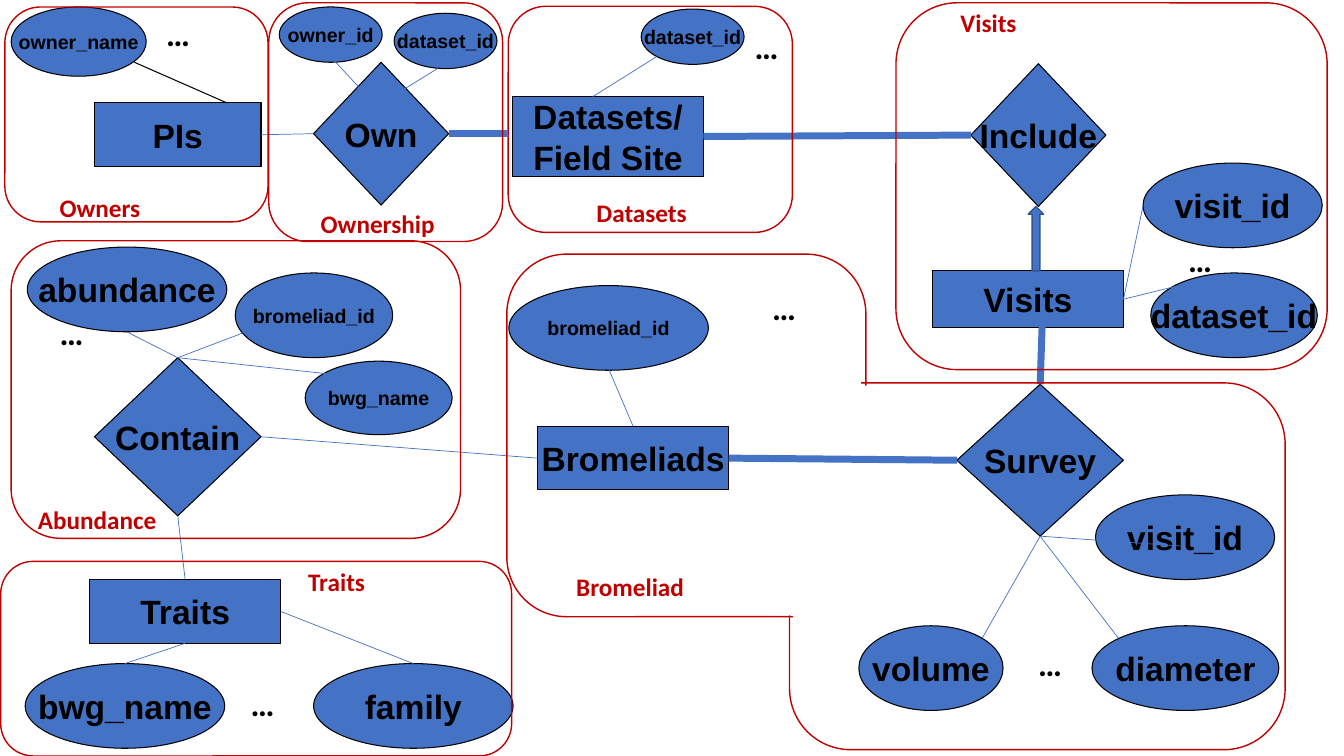
from dataclasses import dataclass
from typing import NamedTuple, Optional, Union

import lxml.etree
import pptx
import pptx.dml.color
import pptx.enum.shapes
import pptx.enum.text
import pptx.oxml.ns
import pptx.util

Pt = pptx.util.Pt
Shapes = pptx.enum.shapes.MSO_SHAPE
Align = pptx.enum.text.PP_ALIGN
TOP, LEFT, BOTTOM, RIGHT = range(4)


@dataclass(frozen=True)
class Theme:
    blue: str = "4472C4"
    arrow_edge: str = "325491"
    black: str = "000000"
    red: str = "C00000"
    white: str = "FFFFFF"
    node_font: str = "Arial"
    label_font: str = "Calibri"
    large: float = 24
    label: float = 18
    small: float = 14
    outline: float = 0.75
    frame: float = 1
    thin: float = 0.5
    thick: float = 5


THEME = Theme()


class Box(NamedTuple):
    left: float
    top: float
    width: float
    height: float


class Node(NamedTuple):
    key: str
    kind: Shapes
    text: str
    box: Box
    size: float = THEME.large


class Side(NamedTuple):
    key: str
    site: int


class Point(NamedTuple):
    x: float
    y: float


class Link(NamedTuple):
    start: Union[Side, Point]
    end: Union[Side, Point]
    width: float = THEME.thin
    color: str = THEME.blue


class Frame(NamedTuple):
    title: str
    box: Box
    title_at: Optional[Point]


RECT, DIAMOND, OVAL = Shapes.RECTANGLE, Shapes.DIAMOND, Shapes.OVAL
NODES = [
    Node("datasets", RECT, "Datasets/\nField Site", Box(366, 69, 136.5, 57)),
    Node("owners", RECT, "PIs", Box(67.5, 73.5, 119, 45.5)),
    Node("visits", RECT, "Visits", Box(666, 193.5, 136.5, 40.5)),
    Node("bromeliads", RECT, "Bromeliads", Box(384, 304.5, 136.5, 45.5)),
    Node("traits", RECT, "Traits", Box(64, 414, 136.5, 45.5)),
    Node("own", DIAMOND, "Own", Box(224, 44.5, 96.5, 102)),
    Node("include", DIAMOND, "Include", Box(693.5, 45.5, 96.5, 102)),
    Node("survey", DIAMOND, "Survey", Box(683.5, 274.5, 119, 108.5)),
    Node("contain", DIAMOND, "Contain", Box(67.5, 255.5, 119, 113)),
    Node("owner name", OVAL, "owner_name", Box(8, 5, 96.5, 49.5), THEME.small),
    Node("owner id", OVAL, "owner_id", Box(199.5, 5, 73.5, 39.5), THEME.small),
    Node("owned dataset", OVAL, "dataset_id", Box(281.5, 9.5, 73.5, 39.5), THEME.small),
    Node("dataset id", OVAL, "dataset_id", Box(458, 6.5, 73.5, 39.5), THEME.small),
    Node("visit id", OVAL, "visit_id", Box(816.5, 116.5, 128, 60.5)),
    Node("visited dataset", OVAL, "dataset_id", Box(822, 195, 119, 60.5)),
    Node("abundance", OVAL, "abundance", Box(19.5, 176.5, 142.5, 60.5)),
    Node("contained bromeliad", OVAL, "bromeliad_id", Box(168, 195, 112.5, 60.5), THEME.small),
    Node("contained name", OVAL, "bwg_name", Box(218, 258, 105, 52.5), THEME.small),
    Node("bromeliad id", OVAL, "bromeliad_id", Box(363.5, 204, 142.5, 60.5), THEME.small),
    Node("surveyed visit", OVAL, "visit_id", Box(782.5, 353.5, 128, 60.5)),
    Node("volume", OVAL, "volume", Box(613.5, 447, 103, 60.5)),
    Node("diameter", OVAL, "diameter", Box(780, 447, 133.5, 60.5)),
    Node("trait name", OVAL, "bwg_name", Box(18, 474, 142.5, 60.5)),
    Node("family", OVAL, "family", Box(224, 474, 142.5, 60.5)),
]
LINKS = [
    Link(Point(96, 44.5), Point(162, 73.5), THEME.outline, THEME.black),
    Link(Side("owners", RIGHT), Side("own", LEFT)),
    Link(Point(264, 70.5), Point(232, 36)),
    Link(Point(267, 77), Point(312.5, 49)),
    Link(Side("own", RIGHT), Point(362, 95.5), 5.25),
    Link(Point(423.5, 69), Point(469, 40.5)),
    Link(Side("datasets", RIGHT), Side("include", LEFT), THEME.thick),
    Link(Side("visits", RIGHT), Point(816.5, 147)),
    Link(Side("visits", RIGHT), Point(840, 204.5)),
    Link(Side("survey", TOP), Point(744.5, 229.5), THEME.thick),
    Link(Side("survey", BOTTOM), Point(799, 456)),
    Link(Side("survey", BOTTOM), Point(701.5, 456)),
    Link(Side("survey", BOTTOM), Point(843, 390)),
    Link(Side("bromeliads", TOP), Point(435, 264)),
    Link(Side("contain", TOP), Point(90.5, 237)),
    Link(Side("contain", TOP), Point(191.5, 231)),
    Link(Side("contain", TOP), Point(262, 270)),
    Link(Side("contain", RIGHT), Side("bromeliads", LEFT)),
    Link(Side("contain", BOTTOM), Side("traits", TOP)),
    Link(Side("traits", RIGHT), Side("family", TOP)),
    Link(Side("traits", BOTTOM), Side("trait name", TOP)),
]
SURVEY_LINK = Link(Side("survey", LEFT), Side("bromeliads", RIGHT), THEME.thick)
FRAMES = [
    Frame("Owners", Box(3.5, 5, 188, 153.5), Point(35.5, 133.5)),
    Frame("Ownership", Box(192, 2, 167, 170.5), Point(222, 145)),
    Frame("Datasets", Box(363, 4.5, 203, 161.5), Point(419, 137.5)),
    Frame("Visits", Box(640, 2, 308, 262), Point(679, 2)),
    Frame("", Box(564, 273.5, 354, 262), None),
    Frame("Bromeliad", Box(362, 181.5, 256.5, 259), Point(404.5, 404.5)),
    Frame("Abundance", Box(8, 172, 321, 212.5), Point(20, 357)),
    Frame("Traits", Box(0.5, 401, 365, 139), Point(213, 401)),
]
# White patches join the two bromeliad frames into one outline.
PATCHES = [Box(566.5, 275.5, 65.5, 171), Box(549.5, 268.5, 65.5, 171)]
ELLIPSES = [Point(111.5, 6), Point(532, 15), Point(841.5, 167), Point(544.5, 201.5),
            Point(35.5, 219.5), Point(172, 484), Point(734.5, 456)]
VISIT_ARROW = Box(734.5, 147.5, 11, 46)


def rgb(color: str) -> pptx.dml.color.RGBColor:
    return pptx.dml.color.RGBColor.from_string(color)


def write(shape, text: str, *, font: str, size: float, color: str,
          align: Align = Align.LEFT, wrap: bool = False) -> None:
    frame = shape.text_frame
    frame.word_wrap = wrap
    for index, line in enumerate(text.split("\n")):
        para = frame.add_paragraph() if index else frame.paragraphs[0]
        para.alignment = align
        span = para.add_run()
        span.text = line
        span.font.name, span.font.size, span.font.bold = font, Pt(size), True
        span.font.color.rgb = rgb(color)


def draw_shape(page, kind: Shapes, box: Box, *, fill: Optional[str] = None,
               line: Optional[str] = None, width: float = THEME.outline):
    shape = page.shapes.add_shape(kind, *map(Pt, box))
    shape.shadow.inherit = False
    if fill:
        shape.fill.solid()
        shape.fill.fore_color.rgb = rgb(fill)
    else:
        shape.fill.background()
    if line:
        shape.line.color.rgb = rgb(line)
        shape.line.width = Pt(width)
    else:
        shape.line.fill.background()
    return shape


def draw_node(page, node: Node):
    shape = draw_shape(page, node.kind, node.box, fill=THEME.blue, line=THEME.black)
    shape.text_frame.vertical_anchor = pptx.enum.text.MSO_ANCHOR.MIDDLE
    write(shape, node.text, font=THEME.node_font, size=node.size,
          color=THEME.black, align=Align.CENTER)
    return shape


def draw_link(page, link: Link, shapes: dict) -> None:
    """Draw a line, joined to a node at each end given as a Side."""
    ends = [(0, 0) if isinstance(end, Side) else end for end in (link.start, link.end)]
    line = page.shapes.add_connector(pptx.enum.shapes.MSO_CONNECTOR.STRAIGHT,
                                     *(Pt(value) for end in ends for value in end))
    for end, connect in ((link.start, line.begin_connect), (link.end, line.end_connect)):
        if isinstance(end, Side):
            connect(shapes[end.key], end.site)
    line.line.color.rgb = rgb(link.color)
    line.line.width = Pt(link.width)
    lxml.etree.SubElement(line._element.spPr, pptx.oxml.ns.qn("a:effectLst"))


def draw_label(page, text: str, box: Box, *, size: float, color: str, wrap: bool) -> None:
    label = page.shapes.add_textbox(*map(Pt, box))
    label.text_frame.auto_size = pptx.enum.text.MSO_AUTO_SIZE.SHAPE_TO_FIT_TEXT
    write(label, text, font=THEME.label_font, size=size, color=color, wrap=wrap)


def main() -> None:
    deck = pptx.Presentation()
    deck.slide_width, deck.slide_height = Pt(960), Pt(540)
    page = deck.slides.add_slide(deck.slide_layouts[6])
    shapes = {node.key: draw_node(page, node) for node in NODES}
    draw_shape(page, Shapes.UP_ARROW, VISIT_ARROW, fill=THEME.blue,
               line=THEME.arrow_edge, width=1)
    for link in LINKS:
        draw_link(page, link, shapes)
    for frame in FRAMES:
        draw_shape(page, Shapes.ROUNDED_RECTANGLE, frame.box, line=THEME.red, width=THEME.frame)
    for patch in PATCHES:
        draw_shape(page, RECT, patch, fill=THEME.white)
    draw_link(page, SURVEY_LINK, shapes)
    for spot in ELLIPSES:
        draw_label(page, "…", Box(*spot, 31.5, 36), size=THEME.large,
                   color=THEME.black, wrap=False)
    for frame in FRAMES:
        if frame.title_at:
            draw_label(page, frame.title, Box(*frame.title_at, 124.5, 29),
                       size=THEME.label, color=THEME.red, wrap=True)
    deck.save("out.pptx")


if __name__ == "__main__":
    main()
